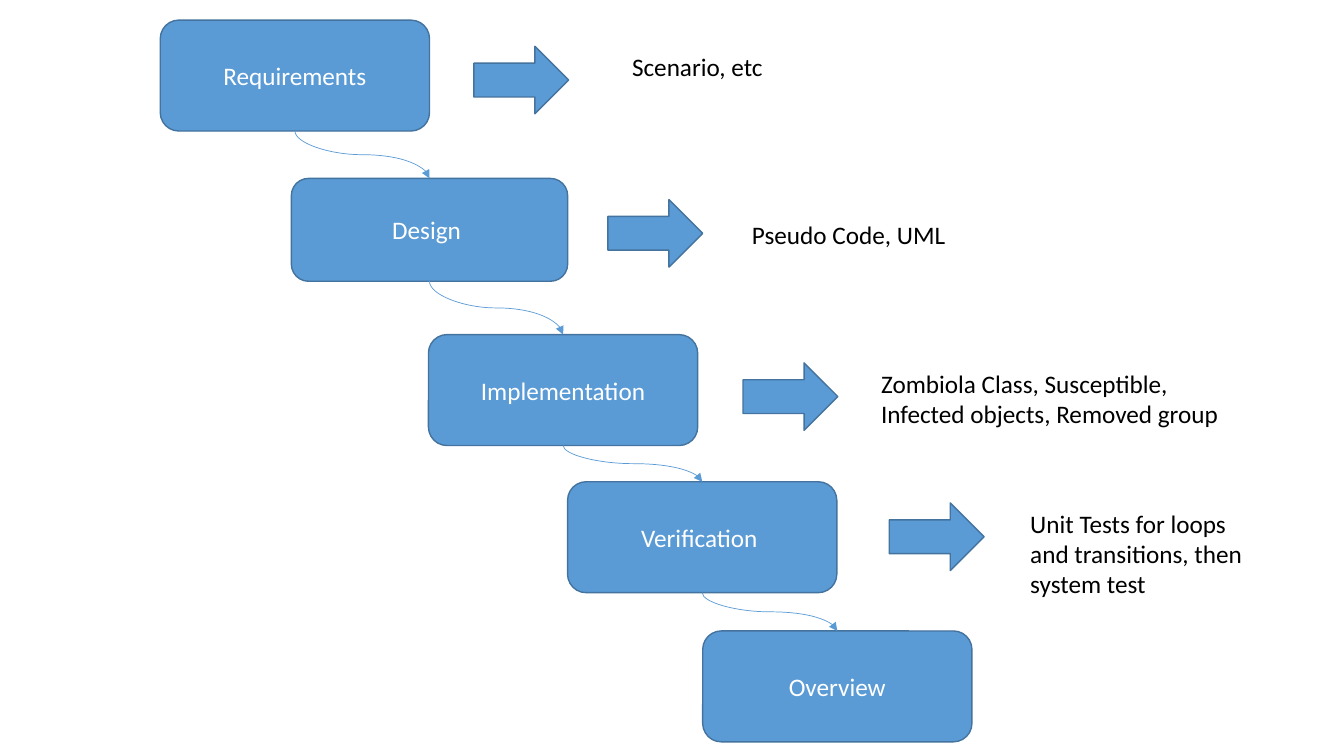
from lxml import etree
from pptx import Presentation
from pptx.dml.color import RGBColor
from pptx.enum.shapes import MSO_CONNECTOR, MSO_SHAPE
from pptx.enum.text import MSO_ANCHOR, PP_ALIGN
from pptx.oxml.ns import qn
from pptx.util import Inches, Pt

ROUNDED = MSO_SHAPE.ROUNDED_RECTANGLE
RIGHT_ARROW = MSO_SHAPE.RIGHT_ARROW
CURVE = MSO_CONNECTOR.CURVE
MIDDLE = MSO_ANCHOR.MIDDLE
CENTER = PP_ALIGN.CENTER
TOP_SITE, BOTTOM_SITE = 0, 2


def color(hex_string):
    return RGBColor.from_string(hex_string)


class WaterfallSlide:
    font, size = "Calibri", Pt(18)
    blue, outline, white, black = "5B9BD5", "43739E", "FFFFFF", "000000"

    def __init__(self, presentation):
        self.slide = presentation.slides.add_slide(presentation.slide_layouts[6])

    def set_text(self, shape, text, text_color):
        shape.text_frame.word_wrap = True
        shape.text_frame.text = text
        for run in shape.text_frame.paragraphs[0].runs:
            run.font.name = self.font
            run.font.size = self.size
            run.font.color.rgb = color(text_color)

    def block(self, kind, left, top, width, height):
        shape = self.slide.shapes.add_shape(
            kind, Inches(left), Inches(top), Inches(width), Inches(height))
        shape.shadow.inherit = False
        shape.fill.solid()
        shape.fill.fore_color.rgb = color(self.blue)
        shape.line.color.rgb = color(self.outline)
        shape.line.width = Pt(1)
        return shape

    def phase(self, text, left, top, width, height):
        shape = self.block(ROUNDED, left, top, width, height)
        self.set_text(shape, text, self.white)
        shape.text_frame.vertical_anchor = MIDDLE
        shape.text_frame.paragraphs[0].alignment = CENTER
        return shape

    def arrow(self, left, top):
        self.block(RIGHT_ARROW, left, top, 0.94, 0.67)

    def note(self, text, left, top, width, height):
        box = self.slide.shapes.add_textbox(
            Inches(left), Inches(top), Inches(width), Inches(height))
        self.set_text(box, text, self.black)

    def curve(self, upper, lower):
        start_x, start_y = upper.left + upper.width // 2, upper.top + upper.height
        end_x, end_y = lower.left + lower.width // 2, lower.top
        connector = self.slide.shapes.add_connector(
            CURVE, start_x, start_y, end_x, end_y)
        connector.begin_connect(upper, BOTTOM_SITE)
        connector.end_connect(lower, TOP_SITE)
        # Turn the curve so that it leaves and arrives vertically
        run, drop = end_x - start_x, end_y - start_y
        connector.left = (start_x + end_x - drop) // 2
        connector.top = (start_y + end_y - run) // 2
        connector.width, connector.height = drop, run
        properties = connector._element.spPr
        transform = properties.find(qn("a:xfrm"))
        transform.set("rot", "16200000")
        transform.set("flipH", "1")
        # Thin line with an arrowhead and no shadow
        connector.line.color.rgb = color(self.blue)
        connector.line.width = Pt(0.5)
        line = properties.find(qn("a:ln"))
        etree.SubElement(line, qn("a:tailEnd"), type="triangle")
        etree.SubElement(properties, qn("a:effectLst"))


presentation = Presentation()
presentation.slide_width = Inches(13.33)
presentation.slide_height = Inches(7.5)
waterfall = WaterfallSlide(presentation)

# Phases of the waterfall, from top to bottom
PHASES = [
    ("Requirements", 1.59, 0.2, 2.67, 1.1),
    ("Design ", 2.89, 1.77, 2.74, 1.02),
    ("Implementation", 4.25, 3.32, 2.67, 1.1),
    ("Verification ", 5.63, 4.78, 2.67, 1.1),
    ("Overview", 6.97, 6.26, 2.67, 1.1),
]
phases = [waterfall.phase(*phase) for phase in PHASES]

# Curves from each phase to the next
for upper, lower in zip(phases, phases[1:]):
    waterfall.curve(upper, lower)

# Arrows to the outputs
for left, top in [(4.7, 0.46), (6.03, 1.98), (7.37, 3.6), (8.82, 4.99)]:
    waterfall.arrow(left, top)

# Outputs of the phases
OUTPUTS = [
    ("Scenario, etc", 6.17, 0.46, 3.58, 0.4),
    ("Pseudo Code, UML ", 7.36, 2.13, 3.58, 0.4),
    ("Zombiola Class, Susceptible, Infected objects, Removed group ",
     8.64, 3.6, 3.58, 0.71),
    ("Unit Tests for loops and transitions, then system test ",
     10.12, 4.99, 2.36, 1.01),
]
for output in OUTPUTS:
    waterfall.note(*output)

presentation.save("out.pptx")
